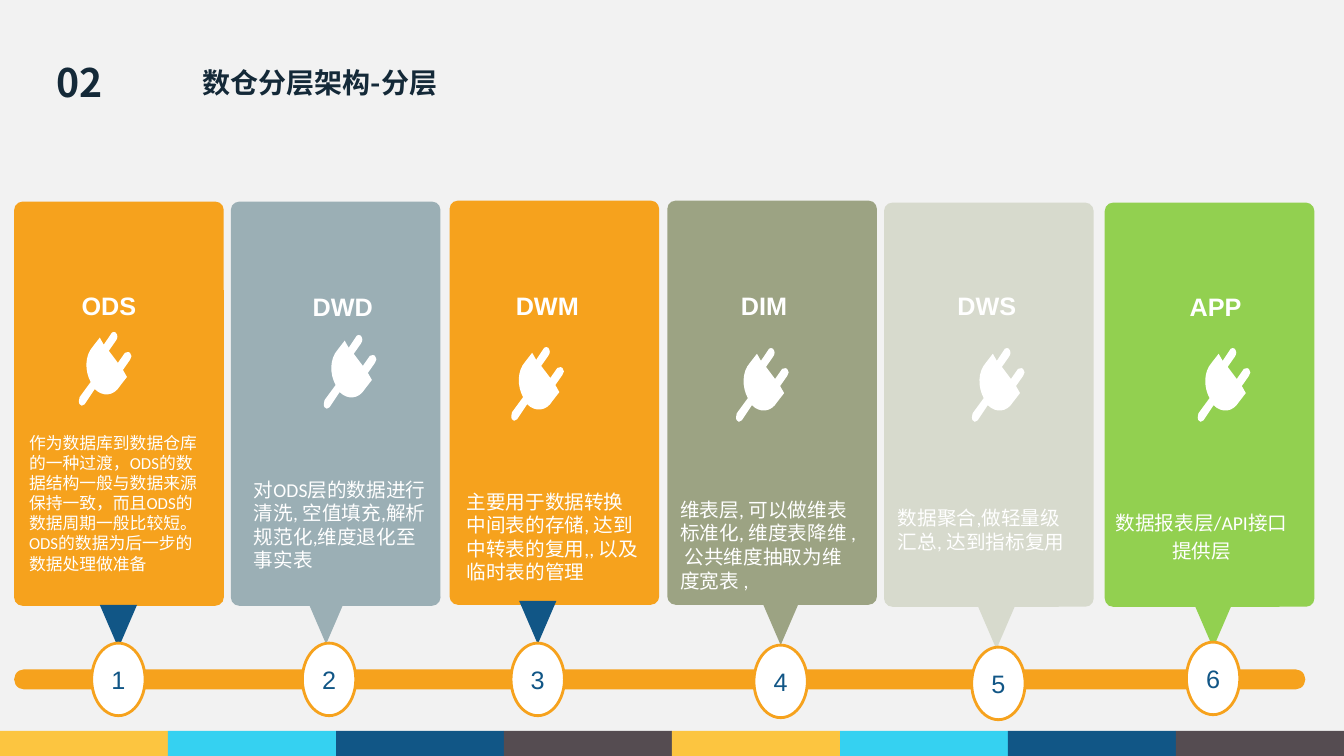
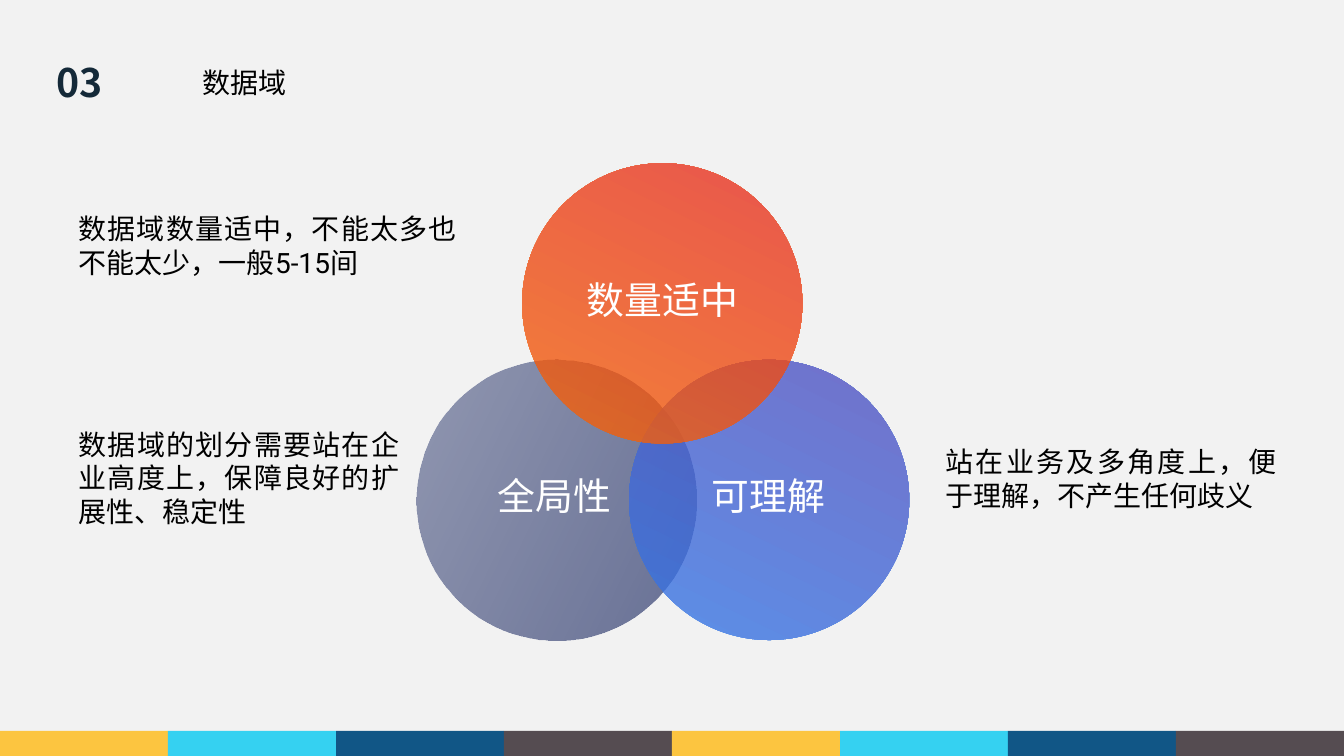
from dataclasses import dataclass
from typing import Optional

from lxml.etree import SubElement
from pptx import Presentation
from pptx.dml.color import RGBColor
from pptx.enum.shapes import MSO_SHAPE
from pptx.enum.text import MSO_ANCHOR, MSO_AUTO_SIZE, PP_ALIGN
from pptx.oxml.ns import qn
from pptx.util import Inches, Pt


@dataclass(frozen=True)
class Theme:
    background: str = "F2F2F2"
    ink: str = "142938"
    black: str = "000000"
    white: str = "FFFFFF"
    orange: str = "F6A21D"
    navy: str = "115686"
    band: tuple = ("FCC540", "35D1F1", "115686", "554C51")
    cjk: str = "Noto Sans CJK SC"
    heading: str = "Arial"
    body: str = "Calibri"
    venn: str = "Roboto"
    number_size: int = 28
    circle_size: int = 27
    title_size: int = 20
    label_size: int = 18
    body_size: int = 14
    small_size: int = 12


@dataclass(frozen=True)
class Style:
    size: int
    font: str
    color: str
    bold: bool = False
    align: Optional[PP_ALIGN] = None
    spacing: Optional[float] = None


@dataclass(frozen=True)
class Layer:
    name: str
    color: str
    left: float
    top: float
    label_left: float
    label_top: float
    icon: tuple
    note: str
    note_at: tuple
    note_style: Style
    pointer: tuple
    bubble: tuple
    pointer_color: Optional[str] = None


@dataclass(frozen=True)
class Circle:
    text: str
    left: float
    top: float
    text_at: tuple
    stops: tuple
    angle: int


@dataclass(frozen=True)
class Remark:
    text: str
    box: tuple


T = Theme()
SLIDE_WIDTH = 40 / 3
NUMBER = Style(T.number_size, T.cjk, T.ink, True, PP_ALIGN.CENTER)
TITLE_BOLD = Style(T.title_size, T.cjk, T.ink, True)
TITLE_PLAIN = Style(T.title_size, T.heading, T.black)
LABEL = Style(T.label_size, T.heading, T.white, True, PP_ALIGN.CENTER, 1.2)
STEP = Style(T.label_size, T.heading, T.navy, align=PP_ALIGN.CENTER)
NOTE = Style(T.body_size, T.body, T.white)
NOTE_SMALL = Style(T.small_size, T.body, T.white)
NOTE_CENTER = Style(T.body_size, T.body, T.white, align=PP_ALIGN.CENTER, spacing=1.2)
CIRCLE = Style(T.circle_size, T.venn, T.white, spacing=0.8)
REMARK = Style(T.title_size, T.venn, T.black, align=PP_ALIGN.JUSTIFY)

PLUG = (
    ((41, 54),), ((35, 64), (24, 65), (16, 57)), ((6, 72),),
    ((4, 74), (2, 74), (1, 72)), ((0, 71), (0, 67), (1, 65)), ((12, 50),),
    ((6, 39), (6, 24), (14, 15)), ((21, 6),), ((25, 13),), ((33, 1),),
    ((34, 0), (36, 0), (37, 1)), ((39, 4), (39, 6), (37, 9)), ((30, 19),),
    ((39, 31),), ((46, 21),), ((48, 20), (51, 20), (51, 21)),
    ((53, 23), (53, 26), (51, 28)), ((44, 38),), ((48, 45),),
)

LAYERS = (
    Layer("ODS", T.orange, 0.14, 2, 0.08, 2.77, (0.78, 3.29),
          "作为数据库到数据仓库的一种过渡，ODS的数据结构一般与数据来源保持一致，"
          "而且ODS的数据周期一般比较短。ODS的数据为后一步的数据处理做准备",
          (0.19, 4.24, 1.94, 1.53), NOTE_SMALL, (0.99, 6), (0.91, 6.38), T.navy),
    Layer("DWD", "9BAFB5", 2.29, 2, 2.4, 2.78, (3.21, 3.32),
          "对ODS层的数据进行清洗, 空值填充,解析 规范化,维度退化至事实表",
          (2.42, 4.69, 1.94, 1.04), NOTE, (3.05, 5.96), (3, 6.38)),
    Layer("DWM", T.orange, 4.46, 1.99, 4.43, 2.77, (5.07, 3.44),
          "主要用于数据转换中间表的存储, 达到中转表的复用,, 以及临时表的管理",
          (4.53, 4.81, 1.94, 1.04), NOTE, (5.15, 5.96), (5.07, 6.38), T.navy),
    Layer("DIM", "9CA383", 6.62, 1.99, 6.58, 2.77, (7.3, 3.45),
          "维表层, 可以做维表标准化, 维度表降维 , 公共维度抽取为维度宽表 ,",
          (6.65, 4.89, 1.94, 1.04), NOTE, (7.56, 5.97), (7.48, 6.4)),
    Layer("DWS", "D7DACD", 8.77, 2.01, 8.79, 2.77, (9.64, 3.45),
          "数据聚合,做轻量级汇总, 达到指标复用",
          (8.81, 4.97, 1.94, 0.57), NOTE, (9.7, 6.01), (9.64, 6.42)),
    Layer("APP", "92D050", 10.96, 2.01, 11.06, 2.78, (11.88, 3.45),
          "数据报表层/API接口提供层",
          (10.95, 4.97, 1.94, 0.65), NOTE_CENTER, (11.85, 6), (11.77, 6.37)),
)

CIRCLES = (
    Circle("全局性", 4.13, 3.57, (4.91, 4.75, 1.19, 0.42),
           (("45507E", 56), ("47527E", 80)), 0),
    Circle("可理解", 6.24, 3.57, (7.03, 4.75, 1.19, 0.42),
           (("307EEC", 80), ("584ABA", 80)), 90),
    Circle("数量适中", 5.18, 1.62, (5.79, 2.8, 1.57, 0.42),
           (("F66F04", 80), ("E52528", 80)), 90),
)

REMARKS = (
    Remark("数据域的划分需要站在企业高度上，保障良好的扩展性、稳定性", (0.75, 4.21, 3.24, 1.07)),
    Remark("数据域数量适中，不能太多也不能太少，一般5-15间", (0.75, 2.07, 3.81, 0.73)),
    Remark("站在业务及多角度上，便于理解，不产生任何歧义", (9.35, 4.38, 3.35, 0.73)),
)


def rgb(color: str) -> RGBColor:
    return RGBColor.from_string(color)


def write(tf, text: str, style: Style, inset: Optional[float] = None) -> None:
    tf.text = text
    if inset is not None:
        tf.margin_left = tf.margin_right = Inches(inset)
        tf.margin_top = tf.margin_bottom = Inches(inset)
    p = tf.paragraphs[0]
    p.alignment = style.align
    p.line_spacing = style.spacing
    for r in p.runs:
        r.font.size = Pt(style.size)
        r.font.name = style.font
        r.font.bold = style.bold
        r.font.color.rgb = rgb(style.color)
        SubElement(r.font._element, qn("a:ea")).set("typeface", T.cjk)


def add_text(s, box: tuple, text: str, style: Style, wrap: bool = True,
             inset: Optional[float] = None, anchor=MSO_ANCHOR.TOP) -> None:
    tf = s.shapes.add_textbox(*map(Inches, box)).text_frame
    write(tf, text, style, inset)
    tf.word_wrap = wrap
    tf.auto_size = MSO_AUTO_SIZE.SHAPE_TO_FIT_TEXT
    tf.vertical_anchor = anchor


def paint(sp, color: str) -> None:
    sp.shadow.inherit = False
    sp.fill.solid()
    sp.fill.fore_color.rgb = rgb(color)
    sp.line.fill.background()


def add_shape(s, kind, box: tuple, color: str):
    sp = s.shapes.add_shape(kind, *map(Inches, box))
    paint(sp, color)
    return sp


def add_plug(s, at: tuple) -> None:
    ends = [segment[-1] for segment in PLUG]
    left, top = (min(axis) for axis in zip(*ends))
    builder = s.shapes.build_freeform(*ends[0], scale=Inches(1) / 100)
    builder.add_line_segments(ends[1:], close=True)
    sp = builder.convert_to_shape(*map(Inches, at))
    paint(sp, T.white)
    lines = list(sp.element.spPr.iter(qn("a:lnTo")))
    for line, segment in zip(lines, PLUG[1:]):
        if len(segment) == 1:
            continue
        line.tag = qn("a:cubicBezTo")
        line.clear()
        for x, y in segment:
            pt = SubElement(line, qn("a:pt"))
            pt.set("x", str(x - left))
            pt.set("y", str(y - top))


def new_slide(prs, number: str, title: str, style: Style, width: float):
    s = prs.slides.add_slide(prs.slide_layouts[6])
    s.background.fill.solid()
    s.background.fill.fore_color.rgb = rgb(T.background)
    add_text(s, (0.45, 0.53, 0.68, 0.57), number, NUMBER)
    colors = T.band * 2
    width_each = SLIDE_WIDTH / len(colors)
    for i, color in enumerate(colors):
        add_shape(s, MSO_SHAPE.RECTANGLE, (i * width_each, 7.25, width_each, 0.25), color)
    add_text(s, (1.91, 0.6, width, 0.44), title, style)
    return s


def add_layer(s, step: int, layer: Layer) -> None:
    card = add_shape(s, MSO_SHAPE.ROUNDED_RECTANGLE,
                     (layer.left, layer.top, 2.08, 4.01), layer.color)
    card.adjustments[0] = 0.04
    add_plug(s, layer.icon)
    pointer = add_shape(s, MSO_SHAPE.ISOSCELES_TRIANGLE, (*layer.pointer, 0.37, 0.43),
                        layer.pointer_color or layer.color)
    pointer.rotation = 180
    bubble = add_shape(s, MSO_SHAPE.OVAL, (*layer.bubble, 0.53, 0.72), T.white)
    bubble.line.color.rgb = rgb(T.orange)
    bubble.line.width = Pt(2)
    write(bubble.text_frame, str(step), STEP, 0)
    bubble.text_frame.word_wrap = False
    bubble.text_frame.vertical_anchor = MSO_ANCHOR.MIDDLE
    add_text(s, layer.note_at, layer.note, layer.note_style)
    add_text(s, (layer.label_left, layer.label_top, 2, 0.43), layer.name, LABEL)


def add_circle(s, circle: Circle) -> None:
    sp = add_shape(s, MSO_SHAPE.OVAL, (circle.left, circle.top, 2.78, 2.78), T.white)
    sp.rotation = 26
    sp.fill.gradient()
    sp.fill.gradient_angle = circle.angle
    for stop, (color, _) in zip(sp.fill.gradient_stops, circle.stops):
        stop.color.rgb = rgb(color)
    tints = sp.element.spPr.iter(qn("a:srgbClr"))
    for tint, (_, opacity) in zip(tints, circle.stops):
        SubElement(tint, qn("a:alpha")).set("val", str(opacity * 1000))


def build_layers(prs) -> None:
    s = new_slide(prs, "02", "数仓分层架构-分层", TITLE_BOLD, 2.57)
    rail = add_shape(s, MSO_SHAPE.ROUNDED_RECTANGLE, (0.14, 6.64, 12.81, 0.2), T.orange)
    rail.adjustments[0] = 0.5
    for step, layer in enumerate(LAYERS, 1):
        add_layer(s, step, layer)


def build_domains(prs) -> None:
    s = new_slide(prs, "03", "数据域", TITLE_PLAIN, 1.04)
    for circle in CIRCLES:
        add_circle(s, circle)
    for circle in CIRCLES:
        add_text(s, circle.text_at, circle.text, CIRCLE, False, 0.03, MSO_ANCHOR.MIDDLE)
    for remark in REMARKS:
        add_text(s, remark.box, remark.text, REMARK, inset=0.03)


def main() -> None:
    prs = Presentation()
    prs.slide_width = Inches(SLIDE_WIDTH)
    prs.slide_height = Inches(7.5)
    build_layers(prs)
    build_domains(prs)
    prs.save("out.pptx")


if __name__ == "__main__":
    main()
